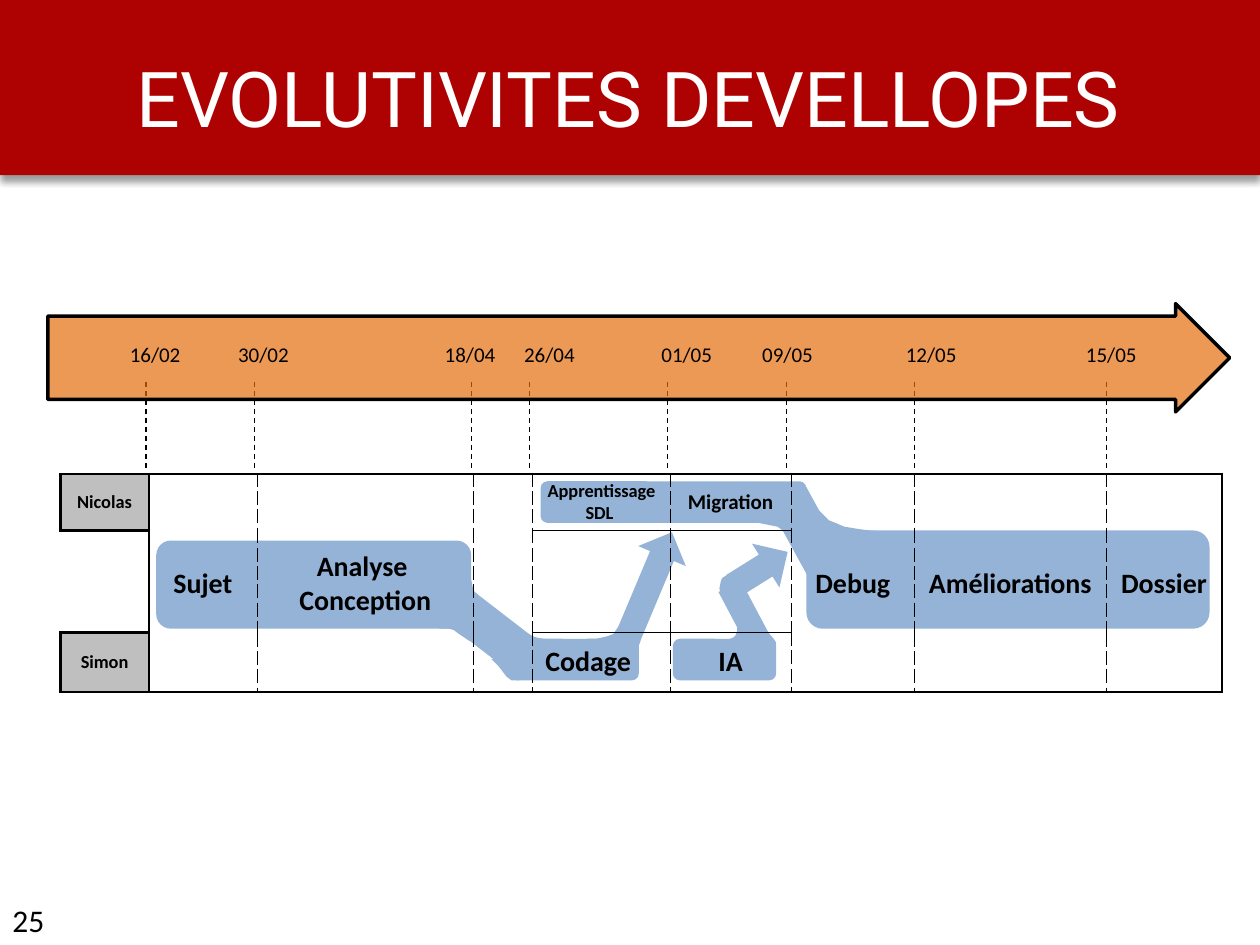
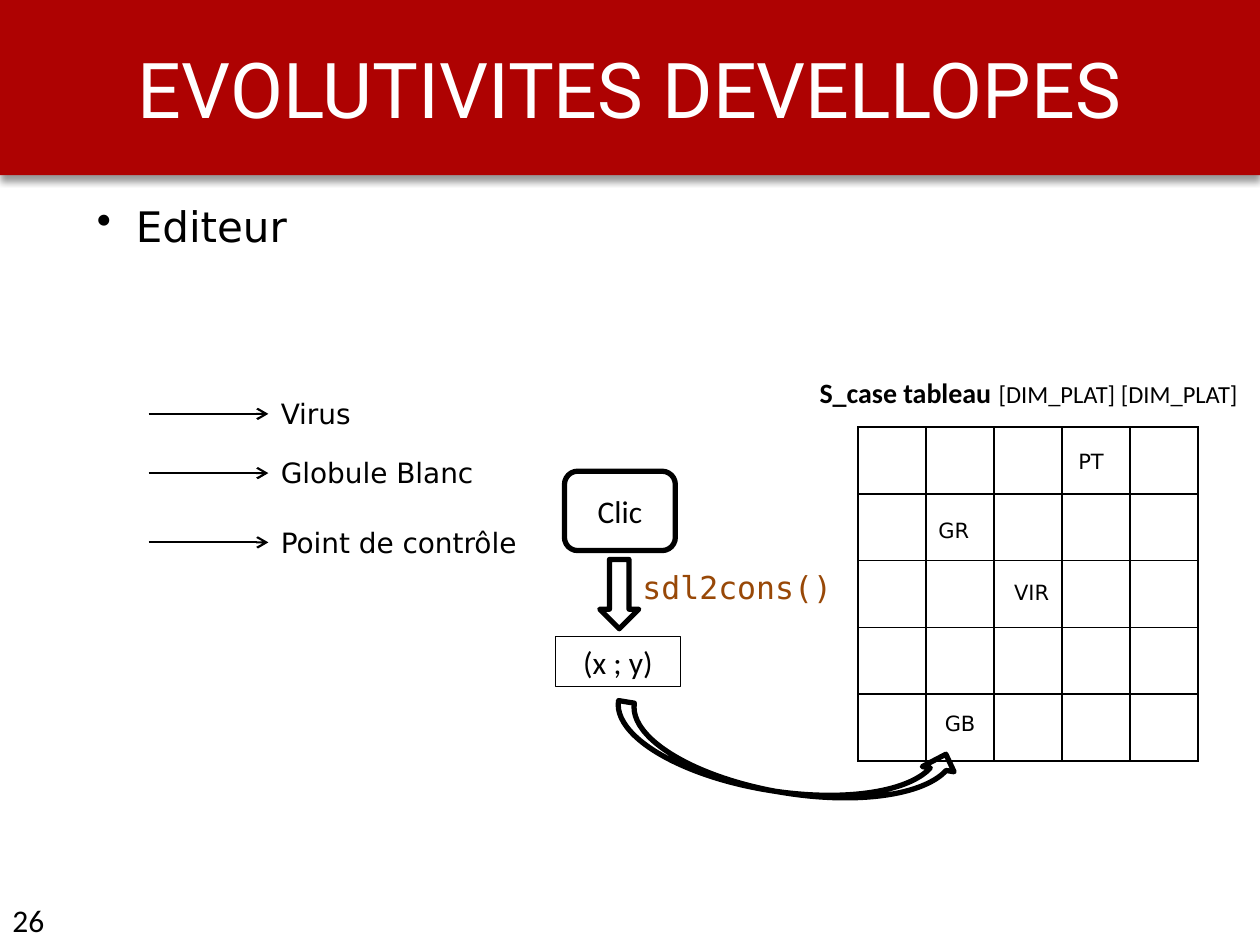
from lxml import etree
from pptx import Presentation
from pptx.dml.color import RGBColor
from pptx.enum.dml import MSO_LINE
from pptx.enum.shapes import MSO_CONNECTOR, MSO_SHAPE
from pptx.enum.text import MSO_ANCHOR, PP_ALIGN
from pptx.oxml.ns import qn
from pptx.util import Emu, Inches, Pt

RECT, ROUND = MSO_SHAPE.RECTANGLE, MSO_SHAPE.ROUNDED_RECTANGLE
RIGHT_ARROW, DOWN_ARROW = MSO_SHAPE.RIGHT_ARROW, MSO_SHAPE.DOWN_ARROW
CURVED_ARROW = MSO_SHAPE.CURVED_UP_ARROW
STRAIGHT = MSO_CONNECTOR.STRAIGHT
DASH = MSO_LINE.DASH
LEFT, CENTER = PP_ALIGN.LEFT, PP_ALIGN.CENTER
TOP, MIDDLE, BOTTOM = MSO_ANCHOR.TOP, MSO_ANCHOR.MIDDLE, MSO_ANCHOR.BOTTOM

SLIDE_WIDTH, SLIDE_HEIGHT = Inches(10), Inches(7.5)
COLUMNS, ROWS = 100, 75
UNIT = SLIDE_WIDTH / COLUMNS
COLORS = {"band": "AE0202", "white": "FFFFFF", "black": "000000", "task": "95B3D7",
          "time": "E46C0A", "person": "BFBFBF", "code": "984807"}
BODY, TITLE, PLAIN, MONO = "Calibri", "Roboto", "DejaVu Sans", "DejaVu Sans Mono"
HEADING = "EVOLUTIVITES DEVELLOPES"
HEADING_FORMAT = {"size": 44, "font": TITLE, "color": "white", "align": CENTER}
NO_GRID = "{2D5ABB26-0587-4C30-8999-92F81FD0307C}"

TASK_BARS = [
    (RIGHT_ARROW, (46.4, 44.8, 10, 4.1), 292.8),
    (ROUND, (12.4, 42.9, 25, 7), 0),
    (ROUND, (34.4, 48.3, 8.8, 3.3), 37.6),
    (ROUND, (42.9, 38.2, 21.1, 3.3), 0),
    (ROUND, (60, 41.2, 8.8, 3.3), 61.3),
    (ROUND, (40.5, 50.7, 10.2, 3.3), 0),
    (ROUND, (53.4, 50.7, 8.2, 3.3), 0),
    (ROUND, (64, 42.1, 32, 7.8), 0),
    (RIGHT_ARROW, (57.8, 43.1, 5.1, 4.1), 328),
    (RECT, (58.2, 46.2, 2, 5.5), 332.1),
]
TASK_BENDS = [
    [(37.4, 46), (37.5, 46.5), (37.6, 46.9), (37.8, 47.1), (38.2, 47.5), (37.6, 48.1),
     (36.5, 47.8), (36.8, 46.6)],
    [(34.8, 49.9), (35.6, 49.9), (36, 50), (36.4, 50.3), (37.3, 50.9), (36.6, 49.3)],
    [(41.6, 50.1), (42.3, 50.5), (42.6, 50.6), (43.1, 50.7), (44.3, 50.8), (42.1, 51)],
    [(49.1, 49.7), (48.7, 50.3), (48.5, 50.4), (48.2, 50.5), (47.8, 50.6), (47.3, 50.7),
     (46.6, 50.7), (48.9, 51)],
    [(50.9, 50.4), (50.8, 51), (50.7, 51.2), (50.7, 51.8), (50.4, 51.2)],
    [(57.9, 45.5), (57.3, 45.9), (57.2, 46.2), (57.1, 46.7), (57.2, 47.2), (58, 47.4),
     (58.7, 46.6)],
    [(58.2, 48.9), (58.5, 49.7), (58.5, 50.1), (58.4, 50.4), (58.2, 50.6), (57.7, 50.8),
     (59.1, 51.5), (60.2, 50.9)],
    [(60.8, 50), (61.4, 50.7), (61.6, 51), (61.3, 51.8)],
    [(39, 52.3), (39.5, 52.8), (39.9, 53.3), (40.2, 53.7), (40.6, 54), (41.1, 54),
     (41.8, 53.9), (42, 52.6)],
    [(64.9, 40.4), (65.4, 40.9), (65.8, 41.3), (66.3, 41.5), (67, 41.8), (67.6, 41.9),
     (68.2, 42), (69, 42.1), (70.2, 42.2), (68.2, 43), (64.9, 42.4)],
    [(60.2, 41.5), (61.2, 41.7), (61.7, 41.8), (62, 42), (62.3, 42.3), (62.7, 42.5),
     (62, 41)],
]
DATE_MARKS = [11.6, 20.2, 37.4, 42, 53, 62.4, 72.6, 87.8]
DATES = ["16/02", "30/02", "18/04", "26/04", "01/05", "09/05", "12/05", "15/05"]
DATE_WIDTHS = [3.9, 8.6, 16.4, 6.3, 10.9, 8, 11.4, 14.3, 7.8]
PLAN_WIDTHS = [7, 8.6, 17.2, 4.7, 10.9, 9.6, 9.8, 15.2, 9.2]
NICOLAS = {0: ("Nicolas", 10.5, CENTER), 4: ("Apprentissage SDL ", 10.5, CENTER),
           5: ("Migration", 12, CENTER)}
SIMON = {0: ("Simon", 10.5, CENTER), 4: ("Codage", 16, LEFT), 5: ("IA", 16, CENTER)}
TOGETHER = {1: ("Sujet", 16, CENTER), 2: ("Analyse \nConception", 16, CENTER),
            6: ("Debug", 16, CENTER), 7: ("Améliorations ", 16, CENTER),
            8: ("Dossier", 16, CENTER)}
SPLIT_COLUMNS = (4, 5)
THICK, THIN, DASHED = (1.5, False), (1, False), (0.5, True)


def units(*lengths):
    return [Emu(round(length * UNIT)) for length in lengths]


def rgb(name):
    return RGBColor.from_string(COLORS[name])


def add_xml(parent, tag, **attributes):
    return etree.SubElement(parent, qn(tag), {k: str(v) for k, v in attributes.items()})


def write(frame, text, size=18, font=BODY, color="black", bold=False, align=LEFT, anchor=TOP):
    frame.word_wrap = True
    frame.vertical_anchor = anchor
    runs_by_line = [[(line, size, bold)] for line in text.split("\n")] \
        if isinstance(text, str) else [text]
    for index, runs in enumerate(runs_by_line):
        paragraph = frame.add_paragraph() if index else frame.paragraphs[0]
        paragraph.alignment = align
        for words, run_size, run_bold in runs:
            run = paragraph.add_run()
            run.text = words
            run.font.size, run.font.bold, run.font.name = Pt(run_size), run_bold, font
            run.font.color.rgb = rgb(color)


def add_text(slide, box, text, **text_format):
    label = slide.shapes.add_textbox(*units(*box))
    write(label.text_frame, text, **text_format)
    return label


def paint(shape, fill=None, line=None):
    shape.shadow.inherit = False
    if fill:
        shape.fill.solid()
        shape.fill.fore_color.rgb = rgb(fill)
    else:
        shape.fill.background()
    if line:
        shape.line.color.rgb = rgb("black")
        shape.line.width = Pt(line)
    else:
        shape.line.fill.background()


def add_shape(slide, kind, box, fill=None, line=None, rotation=0):
    shape = slide.shapes.add_shape(kind, *units(*box))
    shape.rotation = rotation
    paint(shape, fill, line)
    return shape


def add_bend(slide, points):
    start, *others = [units(*point) for point in points]
    builder = slide.shapes.build_freeform(*start)
    builder.add_line_segments(others, close=True)
    paint(builder.convert_to_shape(), "task")


def add_line(slide, start, end, width, dashed=False, arrow=False):
    line = slide.shapes.add_connector(STRAIGHT, *units(*start, *end))
    line.line.color.rgb = rgb("black")
    line.line.width = Pt(width)
    if dashed:
        line.line.dash_style = DASH
    if arrow:
        add_xml(line.line._ln, "a:tailEnd", type="arrow")
    add_xml(line._element.spPr, "a:effectLst")
    return line


def add_grid(slide, left, top, widths, heights):
    box = units(left, top, sum(widths), sum(heights))
    table = slide.shapes.add_table(len(heights), len(widths), *box).table
    table._tbl.tblPr.find(qn("a:tableStyleId")).text = NO_GRID
    table.first_row = table.horz_banding = False
    for column, width in zip(table.columns, units(*widths)):
        column.width = width
    for row, height in zip(table.rows, units(*heights)):
        row.height = height
    return table


def dress_cell(cell, fill=None, **edges):
    properties = cell._tc.get_or_add_tcPr()
    for side in "LRTB":
        if edges.get(side):
            width, dashed = edges[side]
            edge = add_xml(properties, f"a:ln{side}", w=Pt(width))
            paint_edge = add_xml(edge, "a:solidFill")
            add_xml(paint_edge, "a:srgbClr", val=COLORS["black"])
            add_xml(edge, "a:prstDash", val="dash" if dashed else "solid")
    if fill:
        cell.fill.solid()
        cell.fill.fore_color.rgb = rgb(fill)
    else:
        cell.fill.background()


def plan_edges(column, outer, inner):
    if column == 0:
        return dict.fromkeys("LRTB", THICK) if outer else {"R": THICK}
    edges = {"L": THICK if column == 1 else DASHED,
             "R": THICK if column == len(PLAN_WIDTHS) - 1 else DASHED}
    if outer:
        edges[outer] = THICK
        if column in SPLIT_COLUMNS:
            edges[inner] = THIN
    elif column in SPLIT_COLUMNS:
        edges.pop("R" if column == SPLIT_COLUMNS[0] else "L")
    return edges


def add_plan(slide, top, height, tasks, outer=None, inner=None):
    table = add_grid(slide, 4.8, top, PLAN_WIDTHS, [height])
    for column, cell in enumerate(table.rows[0].cells):
        fill = "person" if outer and column == 0 else None
        dress_cell(cell, fill, **plan_edges(column, outer, inner))
        if column in tasks:
            text, size, align = tasks[column]
            write(cell.text_frame, text, size=size, bold=True, align=align)
            cell.vertical_anchor = MIDDLE


def add_frame(deck, number):
    slide = deck.slides.add_slide(deck.slide_layouts[6])
    band = add_shape(slide, RECT, (0, 0, COLUMNS, 13.9), "band")
    effects = band._element.spPr.find(qn("a:effectLst"))
    shadow = add_xml(effects, "a:outerShdw", blurRad=Pt(4), dist=Pt(3), dir=90 * 60000,
                     algn="t", rotWithShape=0)
    tint = add_xml(shadow, "a:srgbClr", val=COLORS["black"])
    add_xml(tint, "a:alpha", val=40000)
    add_text(slide, (0, ROWS - 4, 10.5, 4), str(number))
    return slide, band


def build_schedule(deck):
    slide, _ = add_frame(deck, 25)
    add_text(slide, (3.8, 3.5, 92.2, 8.4), HEADING, **HEADING_FORMAT)
    for kind, box, rotation in TASK_BARS:
        add_shape(slide, kind, box, "task", rotation=rotation)
    for points in TASK_BENDS:
        add_bend(slide, points)
    for mark in DATE_MARKS:
        add_line(slide, (mark, 30.3), (mark, 37.4), 0.75, dashed=True)
    timeline = add_shape(slide, RIGHT_ARROW, (3.8, 24.1, 93.8, 8.6), "time", 2)
    timeline.adjustments[0], timeline.adjustments[1] = 0.77, 0.5
    color = timeline._element.spPr.find(qn("a:solidFill"))[0]
    add_xml(color, "a:alpha", val=69000)
    add_plan(slide, 37.6, 4.5, NICOLAS, "T", "B")
    calendar = add_grid(slide, 5.4, 24.9, DATE_WIDTHS, [4.8])
    for cell, date in zip(calendar.rows[0].cells, [""] + DATES):
        dress_cell(cell)
        if date:
            write(cell.text_frame, date, size=12)
            cell.vertical_anchor = BOTTOM
    add_plan(slide, 50.2, 4.7, SIMON, "B", "T")
    add_plan(slide, 42, 8.7, TOGETHER)


def build_editor(deck):
    slide, band = add_frame(deck, 26)
    write(band.text_frame, HEADING, anchor=MIDDLE, **HEADING_FORMAT)
    topic = add_text(slide, (6.7, 15.4, 83.5, 5), "Editeur", size=24, font=PLAIN)
    bullet = topic.text_frame.paragraphs[0]._p.get_or_add_pPr()
    bullet.set("marL", str(Inches(0.31)))
    bullet.set("indent", str(-Inches(0.31)))
    add_xml(bullet, "a:buChar", char="•")

    for element, top in (("Virus", 31), ("Globule Blanc", 35.7), ("Point de contrôle", 41.2)):
        label = add_text(slide, (21.3, top, 21.2, 3.7), element, size=16, font=PLAIN)
        middle = top + 3.7 / 2
        pointer = add_line(slide, (11.8, middle), (21.3, middle), 1.25, arrow=True)
        pointer.end_connect(label, 1)

    click = add_shape(slide, ROUND, (44.8, 37.4, 8.8, 6.3), line=3)
    write(click.text_frame, "Clic", align=CENTER, anchor=MIDDLE)
    add_shape(slide, DOWN_ARROW, (47.6, 44.4, 3.1, 5.5), line=3)
    point = add_shape(slide, RECT, (44.1, 50.5, 9.9, 4), line=0.75)
    write(point.text_frame, "(x ; y)", align=CENTER, anchor=MIDDLE)

    board = add_grid(slide, 68.1, 33.9, [5.4] * 5, [5.3] * 5)
    for cell in board.iter_cells():
        dress_cell(cell, "white", **dict.fromkeys("LRTB", THIN))
    add_shape(slide, CURVED_ARROW, (48.5, 57.8, 27.6, 5.1), line=3, rotation=9.3)
    add_text(slide, (63.3, 29, 36.7, 4),
             [("S_case tableau", 16, True), (" ", 18, False),
              ("[DIM_PLAT] [DIM_PLAT]", 14, False)], align=CENTER)
    for piece, left, top in (("GB", 74, 55.9), ("VIR", 79.5, 45.5),
                             ("PT", 84.6, 35.1), ("GR", 73.5, 40.6)):
        add_text(slide, (left, top, 8.7, 3), piece, size=12, font=PLAIN)
    add_text(slide, (50, 44.6, 18.1, 4), "sdl2cons()", font=MONO, color="code")


def main():
    deck = Presentation()
    deck.slide_width, deck.slide_height = SLIDE_WIDTH, SLIDE_HEIGHT
    build_schedule(deck)
    build_editor(deck)
    deck.save("out.pptx")


if __name__ == "__main__":
    main()
